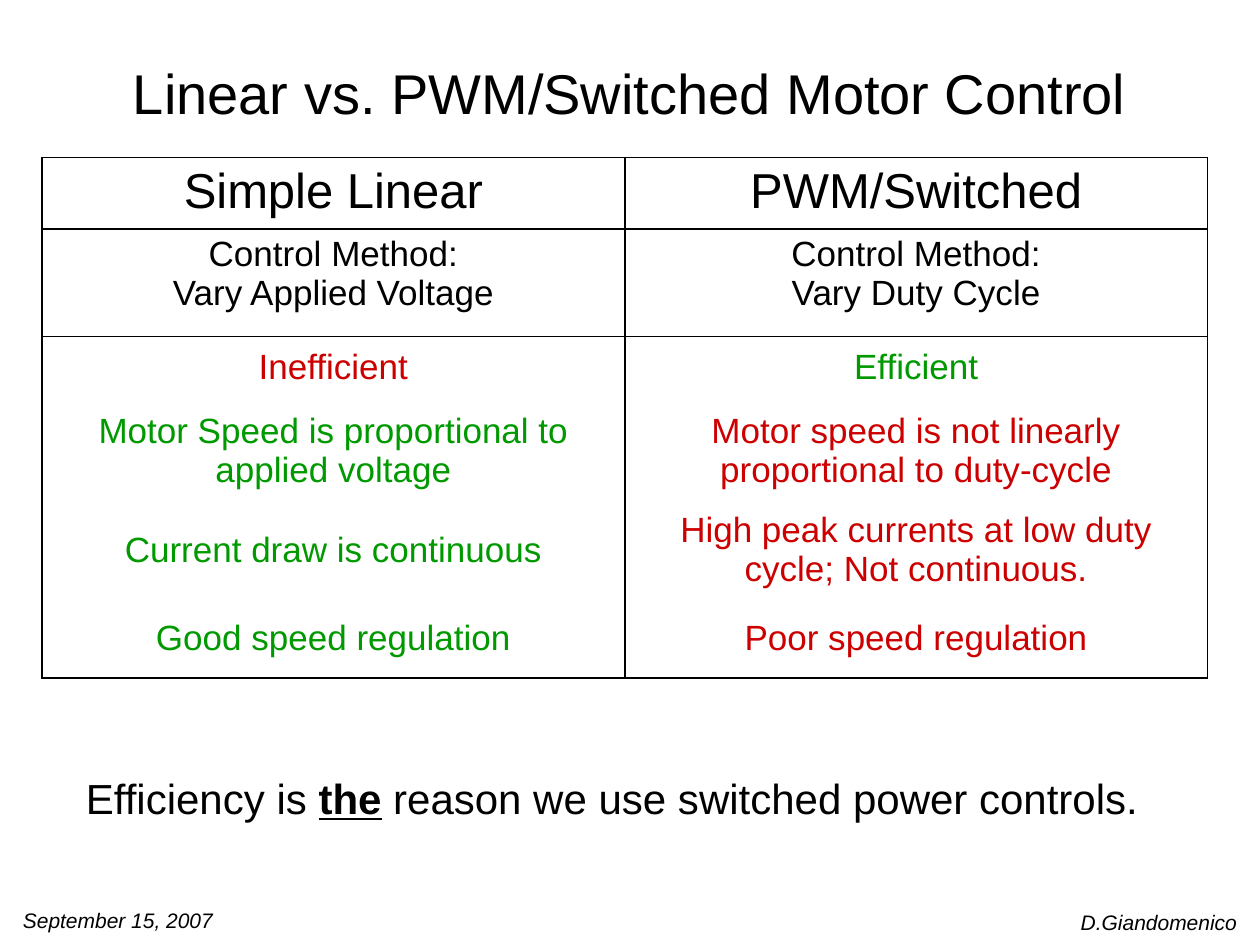
from lxml.etree import SubElement
from pptx import Presentation
from pptx.dml.color import RGBColor
from pptx.enum.text import MSO_ANCHOR as Anchor, PP_ALIGN as Align
from pptx.oxml.ns import qn
from pptx.util import Inches, Pt

BLACK = RGBColor(0x00, 0x00, 0x00)
DRAWBACK = RGBColor(0xCC, 0x00, 0x00)
BENEFIT = RGBColor(0x00, 0x99, 0x00)

THICK, THIN, NONE = 1.08, 0.45, 0
ROW_HEIGHTS = [6.8, 10.2, 6, 9.8, 9.2, 7.6]
# Line weights from the top edge of the table to its bottom edge
RULES = [THICK, THICK, THIN, NONE, NONE, NONE, THICK]

HEADINGS = ["Simple Linear", "PWM/Switched"]
METHODS = ["Control Method:\nVary Applied Voltage",
           "Control Method:\nVary Duty Cycle"]
COMPARISONS = [
    [("Inefficient", DRAWBACK), ("Efficient", BENEFIT)],
    [("Motor Speed is proportional to applied voltage", BENEFIT),
     ("Motor speed is not linearly proportional to duty-cycle", DRAWBACK)],
    [("Current draw is continuous", BENEFIT),
     ("High peak currents at low duty cycle; Not continuous.", DRAWBACK)],
    [("Good speed regulation", BENEFIT), ("Poor speed regulation", DRAWBACK)],
]


class SlideBuilder:
    """Places elements on a grid of 120 columns by 90 rows."""

    font_name = "Arial"

    def __init__(self, deck):
        self.slide = deck.slides.add_slide(deck.slide_layouts[5])
        self.column = deck.slide_width / 120
        self.row = deck.slide_height / 90

    def area(self, left, top, width, height):
        return (round(left * self.column), round(top * self.row),
                round(width * self.column), round(height * self.row))

    def add_runs(self, frame, runs, size, align=Align.LEFT, color=BLACK,
                 anchor=Anchor.TOP, italic=False):
        """Add runs of (text, emphasized); a newline becomes a line break."""
        frame.word_wrap = True
        frame.vertical_anchor = anchor
        paragraph = frame.paragraphs[0]
        paragraph.alignment = align
        for text, emphasized in runs:
            for index, line in enumerate(text.split("\n")):
                if index:
                    paragraph.add_line_break()
                run = paragraph.add_run()
                run.text = line
                font = run.font
                font.name, font.size = self.font_name, Pt(size)
                font.color.rgb = color
                font.bold = font.underline = emphasized
                font.italic = italic

    def title(self, text, *grid):
        title = self.slide.shapes.title
        title.left, title.top, title.width, title.height = self.area(*grid)
        self.add_runs(title.text_frame, [(text, False)], 32, Align.CENTER,
                      anchor=Anchor.MIDDLE)

    def text(self, runs, size, *grid, **style):
        box = self.slide.shapes.add_textbox(*self.area(*grid))
        self.add_runs(box.text_frame, runs, size, **style)

    def border(self, cell, above, below):
        properties = cell._tc.get_or_add_tcPr()
        for side, weight in zip("LRTB", (THICK, THICK, above, below)):
            line = SubElement(properties, qn(f"a:ln{side}"), w=str(Pt(weight)))
            if weight:
                fill = SubElement(line, qn("a:solidFill"))
                SubElement(fill, qn("a:srgbClr"), val=str(BLACK))
            else:
                SubElement(line, qn("a:noFill"))

    def table(self, rows, heights, rules, left, top, width):
        """Draw rows of (text, size, color, anchor) cells."""
        grid = self.area(left, top, width, sum(heights))
        table = self.slide.shapes.add_table(
            len(rows), len(rows[0]), *grid).table
        table.first_row = table.horz_banding = False
        for r, entries in enumerate(rows):
            table.rows[r].height = round(heights[r] * self.row)
            for c, (text, size, color, anchor) in enumerate(entries):
                cell = table.cell(r, c)
                self.border(cell, rules[r], rules[r + 1])
                cell.fill.background()
                self.add_runs(cell.text_frame, [(text, False)], size,
                              Align.CENTER, color)
                cell.vertical_anchor = anchor


def main():
    deck = Presentation()
    deck.slide_width, deck.slide_height = Inches(10), Inches(7.5)
    builder = SlideBuilder(deck)

    builder.title("Linear vs. PWM/Switched Motor Control", 6, 3.6, 108, 10.4)

    rows = [[(text, 28, BLACK, Anchor.TOP) for text in HEADINGS],
            [(text, 20, BLACK, Anchor.TOP) for text in METHODS]]
    rows += [[(text, 20, color, Anchor.MIDDLE) for text, color in pair]
             for pair in COMPARISONS]
    builder.table(rows, ROW_HEIGHTS, RULES, 4, 15, 111)

    builder.text([("Efficiency is ", False), ("the", True),
                  (" reason we use switched power controls.", False)],
                 24, 7, 73, 106, 6)
    builder.text([("D.Giandomenico", False)], 12, 81, 86, 38, 3,
                 align=Align.RIGHT, italic=True)
    builder.text([("September 15, 2007", False)], 12, 1, 85.8, 28, 3.2,
                 italic=True)
    deck.save("out.pptx")


if __name__ == "__main__":
    main()
